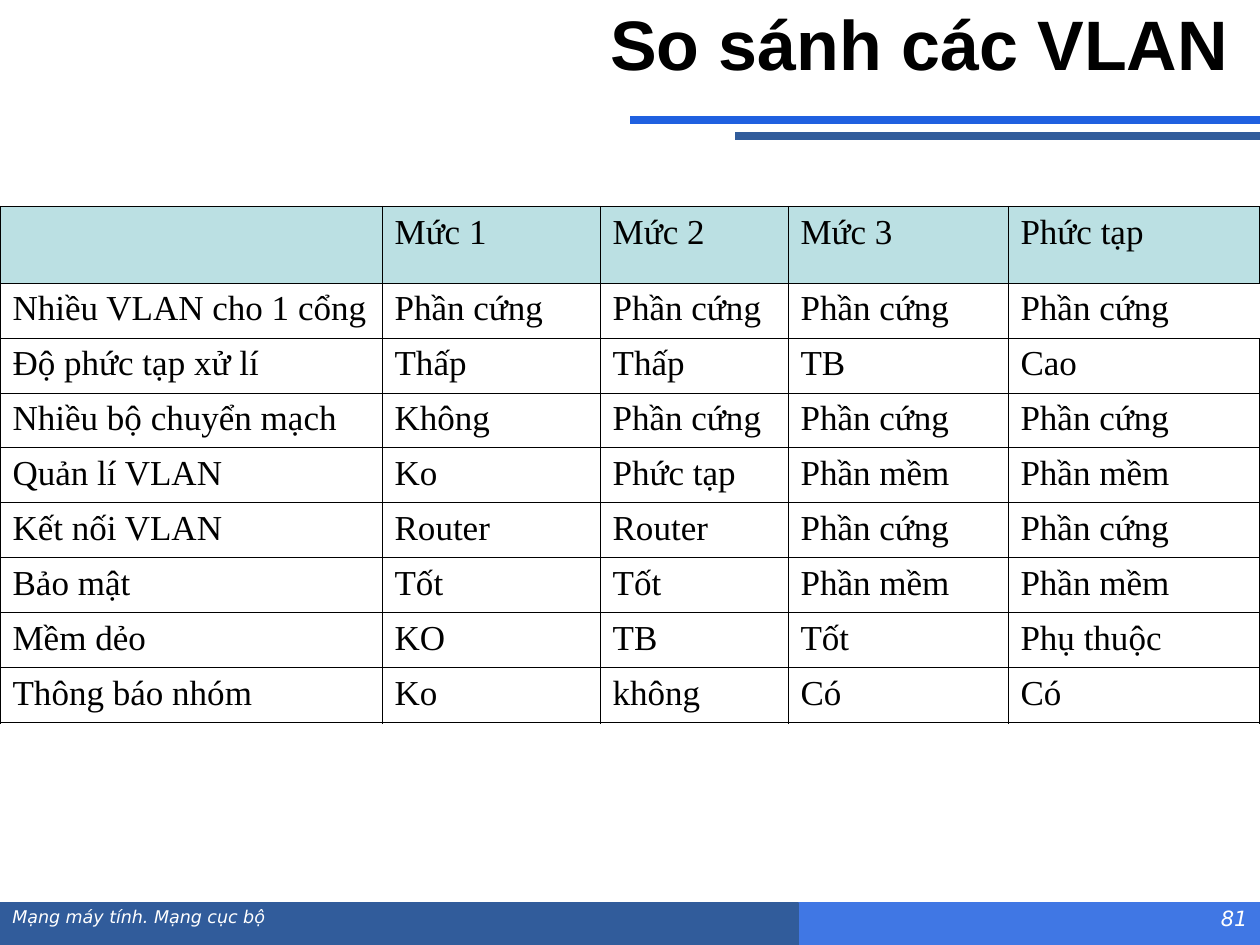
from typing import NamedTuple

from lxml.etree import SubElement
from pptx import Presentation
from pptx.dml.color import RGBColor
from pptx.enum.shapes import MSO_CONNECTOR, MSO_SHAPE
from pptx.enum.text import MSO_ANCHOR, PP_ALIGN
from pptx.oxml.ns import qn
from pptx.util import Pt

BLACK = RGBColor(0x00, 0x00, 0x00)
WHITE = RGBColor(0xFF, 0xFF, 0xFF)
BRIGHT_BLUE = RGBColor(0x20, 0x60, 0xE0)
LIGHT_BLUE = RGBColor(0x40, 0x77, 0xE4)
DARK_BLUE = RGBColor(0x31, 0x5C, 0x9B)
HEADER_TEAL = RGBColor(0xBB, 0xE0, 0xE3)

SLIDE_WIDTH, SLIDE_HEIGHT = 720, 540
OUTER_BORDER, INNER_BORDER = 1.08, 0.45
TABLE_TOP = 118.1
COLUMN_WIDTHS = (218.3, 124.6, 107.4, 125.7, 144)
HEADER_HEIGHT, ROW_HEIGHT = 43.6, 31.43
OPEN_ROW = 1  # this row has no border on the right

COMPARISON = (
    ("", "Mức 1", "Mức 2", "Mức 3", "Phức tạp"),
    ("Nhiều VLAN cho 1 cổng", "Phần cứng", "Phần cứng", "Phần cứng", "Phần cứng"),
    ("Độ phức tạp xử lí", "Thấp", "Thấp", "TB", "Cao"),
    ("Nhiều bộ chuyển mạch", "Không", "Phần cứng", "Phần cứng", "Phần cứng"),
    ("Quản lí VLAN", "Ko", "Phức tạp", "Phần mềm", "Phần mềm"),
    ("Kết nối VLAN", "Router", "Router", "Phần cứng", "Phần cứng"),
    ("Bảo mật", "Tốt", "Tốt", "Phần mềm", "Phần mềm"),
    ("Mềm dẻo", "KO", "TB", "Tốt", "Phụ thuộc"),
    ("Thông báo nhóm", "Ko", "không", "Có", "Có"),
)


class Band(NamedTuple):
    left: float
    top: float
    width: float
    height: float
    color: RGBColor


class Rule(NamedTuple):
    left: float
    y: float
    color: RGBColor


FOOTER_BANDS = (
    Band(360, 516, 360, 24, LIGHT_BLUE),
    Band(0, 516, 456, 24, DARK_BLUE),
)
TITLE_RULES = (Rule(360, 68.4, BRIGHT_BLUE), Rule(420, 77.9, DARK_BLUE))


def write(frame, text: str, *, size: float, font: str, color: RGBColor = BLACK,
          bold: bool = False, italic: bool = False, align=PP_ALIGN.LEFT) -> None:
    paragraph = frame.paragraphs[0]
    paragraph.alignment = align
    run = paragraph.add_run()
    run.text = text
    run.font.size = Pt(size)
    run.font.name = font
    run.font.color.rgb = color
    run.font.bold = bold
    run.font.italic = italic


def add_label(slide, text: str, left: float, top: float, width: float, height: float,
              *, right_inset: float = 7.2, anchor=MSO_ANCHOR.TOP, **text_format) -> None:
    frame = slide.shapes.add_textbox(Pt(left), Pt(top), Pt(width), Pt(height)).text_frame
    frame.word_wrap = True
    frame.vertical_anchor = anchor
    frame.margin_right = Pt(right_inset)
    write(frame, text, **text_format)


def add_band(slide, band: Band) -> None:
    bar = slide.shapes.add_shape(MSO_SHAPE.RECTANGLE, Pt(band.left), Pt(band.top),
                                 Pt(band.width), Pt(band.height))
    bar.shadow.inherit = False
    bar.fill.solid()
    bar.fill.fore_color.rgb = band.color
    bar.line.color.rgb = band.color
    bar.line.width = Pt(0.75)


def add_rule(slide, rule: Rule) -> None:
    line = slide.shapes.add_connector(MSO_CONNECTOR.STRAIGHT, Pt(SLIDE_WIDTH), Pt(rule.y),
                                      Pt(rule.left), Pt(rule.y))
    line.line.color.rgb = rule.color
    line.line.width = Pt(4.5)
    SubElement(line._element.spPr, qn("a:effectLst"))


def set_borders(cell, widths: dict[str, float]) -> None:
    properties = cell._tc.get_or_add_tcPr()
    # Border elements come before the cell fill
    for position, (side, width) in enumerate(widths.items()):
        border = SubElement(properties, qn(f"a:ln{side}"), w=str(int(Pt(width))))
        if width:
            fill = SubElement(border, qn("a:solidFill"))
            SubElement(fill, qn("a:srgbClr"), val=str(BLACK))
        else:
            SubElement(border, qn("a:noFill"))
        properties.insert(position, border)


def add_comparison(slide) -> None:
    row_heights = [HEADER_HEIGHT] + [ROW_HEIGHT] * (len(COMPARISON) - 1)
    table = slide.shapes.add_table(
        len(COMPARISON), len(COLUMN_WIDTHS), Pt(0), Pt(TABLE_TOP),
        Pt(SLIDE_WIDTH), Pt(sum(row_heights))).table
    table.first_row = table.horz_banding = False
    for column, width in zip(table.columns, COLUMN_WIDTHS):
        column.width = Pt(width)
    last_row, last_column = len(COMPARISON) - 1, len(COLUMN_WIDTHS) - 1
    for r, (values, height) in enumerate(zip(COMPARISON, row_heights)):
        table.rows[r].height = Pt(height)
        for c, value in enumerate(values):
            cell = table.cell(r, c)
            if r == 0:
                cell.fill.solid()
                cell.fill.fore_color.rgb = HEADER_TEAL
            else:
                cell.fill.background()
            right = OUTER_BORDER if c == last_column else INNER_BORDER
            if c == last_column and r == OPEN_ROW:
                right = 0
            set_borders(cell, {
                "L": OUTER_BORDER if c == 0 else INNER_BORDER,
                "R": right,
                "T": OUTER_BORDER if r == 0 else INNER_BORDER,
                "B": OUTER_BORDER if r == last_row else INNER_BORDER,
            })
            if value:
                write(cell.text_frame, value, size=20, font="Times New Roman")


def main() -> None:
    presentation = Presentation()
    presentation.slide_width, presentation.slide_height = Pt(SLIDE_WIDTH), Pt(SLIDE_HEIGHT)
    slide = presentation.slides.add_slide(presentation.slide_layouts[6])

    # Footer bands and title rules
    for band in FOOTER_BANDS:
        add_band(slide, band)
    for rule in TITLE_RULES:
        add_rule(slide, rule)

    # Title
    add_label(slide, "So sánh các VLAN", 0, 0, SLIDE_WIDTH, 49, right_inset=18.3,
              anchor=MSO_ANCHOR.MIDDLE, size=40, font="Arial", bold=True,
              align=PP_ALIGN.RIGHT)

    # Comparison table
    add_comparison(slide)

    # Footer text and slide number
    footer_format = {"font": "DejaVu Sans", "color": WHITE, "italic": True}
    add_label(slide, "Mạng máy tính. Mạng cục bộ", 0, 514, 615, 26, size=10, **footer_format)
    add_label(slide, "81", 618, 514, 102, 22, size=12, align=PP_ALIGN.RIGHT, **footer_format)

    presentation.save("out.pptx")


if __name__ == "__main__":
    main()
